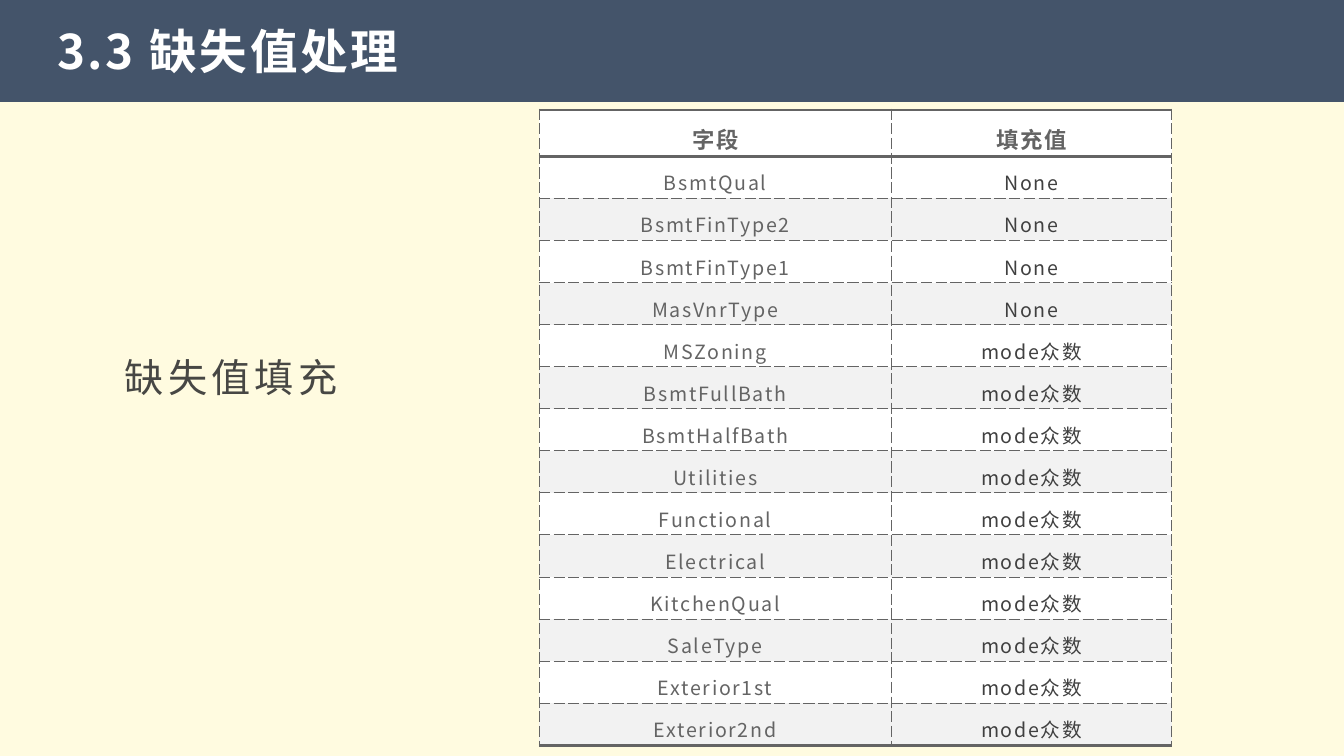
"""Builds the slide on filling missing values, with a table of fields and fill values."""
import lxml.etree
import pptx
import pptx.dml.color
import pptx.enum.shapes
import pptx.enum.text
import pptx.oxml.ns
import pptx.util

Cm, Pt = pptx.util.Cm, pptx.util.Pt
qn = pptx.oxml.ns.qn
Align = pptx.enum.text.PP_ALIGN
Anchor = pptx.enum.text.MSO_ANCHOR

COLORS = {
    "background": "FFFBE0", "band": "44546A", "white": "FFFFFF", "stripe": "F2F2F2",
    "body": "474744", "field": "646464", "value": "404040", "border": "646464",
}
MODE = "mode众数"
FILL_VALUES = {
    "BsmtQual": "None", "BsmtFinType2": "None", "BsmtFinType1": "None", "MasVnrType": "None",
    "MSZoning": MODE, "BsmtFullBath": MODE, "BsmtHalfBath": MODE, "Utilities": MODE,
    "Functional": MODE, "Electrical": MODE, "KitchenQual": MODE, "SaleType": MODE,
    "Exterior1st": MODE, "Exterior2nd": MODE,
}


class SlideBuilder:
    """Holds the style and the current slide."""

    font = "Noto Sans CJK SC"
    cell_format = {
        "vertical_anchor": Anchor.MIDDLE, "margin_left": Cm(0.48), "margin_right": Cm(0.48),
        "margin_top": Cm(0.15), "margin_bottom": Cm(0.15),
    }

    def __init__(self, slide):
        self.slide = slide
        self.paint(slide.background.fill, "background")

    def paint(self, fill, color):
        fill.solid()
        fill.fore_color.rgb = pptx.dml.color.RGBColor.from_string(COLORS[color])

    def apply(self, target, values):
        for name, value in values.items():
            setattr(target, name, value)

    def set_text(self, frame, text, color, size, spacing, bold=False, **paragraph_format):
        paragraph = frame.paragraphs[0]
        self.apply(paragraph, paragraph_format)
        run = paragraph.add_run()
        run.text = text
        self.apply(run.font, {"name": self.font, "size": Pt(size), "bold": bold})
        self.paint(run.font.fill, color)
        properties = run._r.get_or_add_rPr()
        properties.set("spc", str(round(spacing * 100)))
        lxml.etree.SubElement(properties, qn("a:ea")).set("typeface", self.font)

    def band(self, left, top, width, height, color):
        band = self.slide.shapes.add_shape(
            pptx.enum.shapes.MSO_SHAPE.RECTANGLE, Cm(left), Cm(top), Cm(width), Cm(height))
        band.shadow.inherit = False
        self.paint(band.fill, color)
        band.line.fill.background()

    def text(self, left, top, width, height, text, frame_format, **text_format):
        box = self.slide.shapes.add_textbox(Cm(left), Cm(top), Cm(width), Cm(height))
        self.apply(box.text_frame, {"word_wrap": True, **frame_format})
        self.set_text(box.text_frame, text, **text_format)

    def border(self, cell, side, heavy):
        line = lxml.etree.SubElement(cell._tc.get_or_add_tcPr(), qn("a:ln" + side))
        line.set("w", str(Pt(2.25 if heavy else 0.75)))
        fill = lxml.etree.SubElement(line, qn("a:solidFill"))
        lxml.etree.SubElement(fill, qn("a:srgbClr")).set("val", COLORS["border"])
        lxml.etree.SubElement(line, qn("a:prstDash")).set("val", "solid" if heavy else "sysDash")

    def table(self, left, top, widths, header_height, row_height, rows):
        heights = [header_height] + [row_height] * (len(rows) - 1)
        table = self.slide.shapes.add_table(
            len(rows), len(widths), Cm(left), Cm(top), Cm(sum(widths)), Cm(sum(heights))).table
        self.apply(table, {"first_row": False, "horz_banding": False})
        for column, width in zip(table.columns, widths):
            column.width = Cm(width)
        for index, (row, height, texts) in enumerate(zip(table.rows, heights, rows)):
            row.height = Cm(height)
            header = index == 0
            heavy = {"T": index < 2, "B": header or index == len(rows) - 1}
            for cell, text, color in zip(row.cells, texts, ("field", "value")):
                self.apply(cell, self.cell_format)
                for side in "LRTB":
                    self.border(cell, side, heavy.get(side, False))
                self.paint(cell.fill, "stripe" if index and index % 2 == 0 else "white")
                self.set_text(cell.text_frame, text, "field" if header else color,
                              16 if header else 14, 1.2, header,
                              alignment=Align.CENTER, line_spacing=1.2)


def main():
    deck = pptx.Presentation()
    deck.slide_width, deck.slide_height = Cm(33.87), Cm(19.05)
    builder = SlideBuilder(deck.slides.add_slide(deck.slide_layouts[6]))
    builder.text(2.41, 8.79, 6.83, 1.45, "缺失值填充",
                 {"auto_size": pptx.enum.text.MSO_AUTO_SIZE.SHAPE_TO_FIT_TEXT},
                 color="body", size=28, spacing=3, alignment=Align.CENTER)
    builder.band(0, 0, 33.87, 2.57, "band")
    builder.text(1.27, 0.43, 31.32, 1.7, "3.3 缺失值处理",
                 {"vertical_anchor": Anchor.MIDDLE, "margin_left": Cm(0.18),
                  "margin_right": Cm(0.18), "margin_top": Cm(0.08), "margin_bottom": Cm(0.08)},
                 color="white", size=34, spacing=1.8, bold=True)
    builder.table(13.59, 2.77, (8.87, 7.07), 1.17, 1.06,
                  [("字段", "填充值"), *FILL_VALUES.items()])
    deck.save("out.pptx")


if __name__ == "__main__":
    main()
